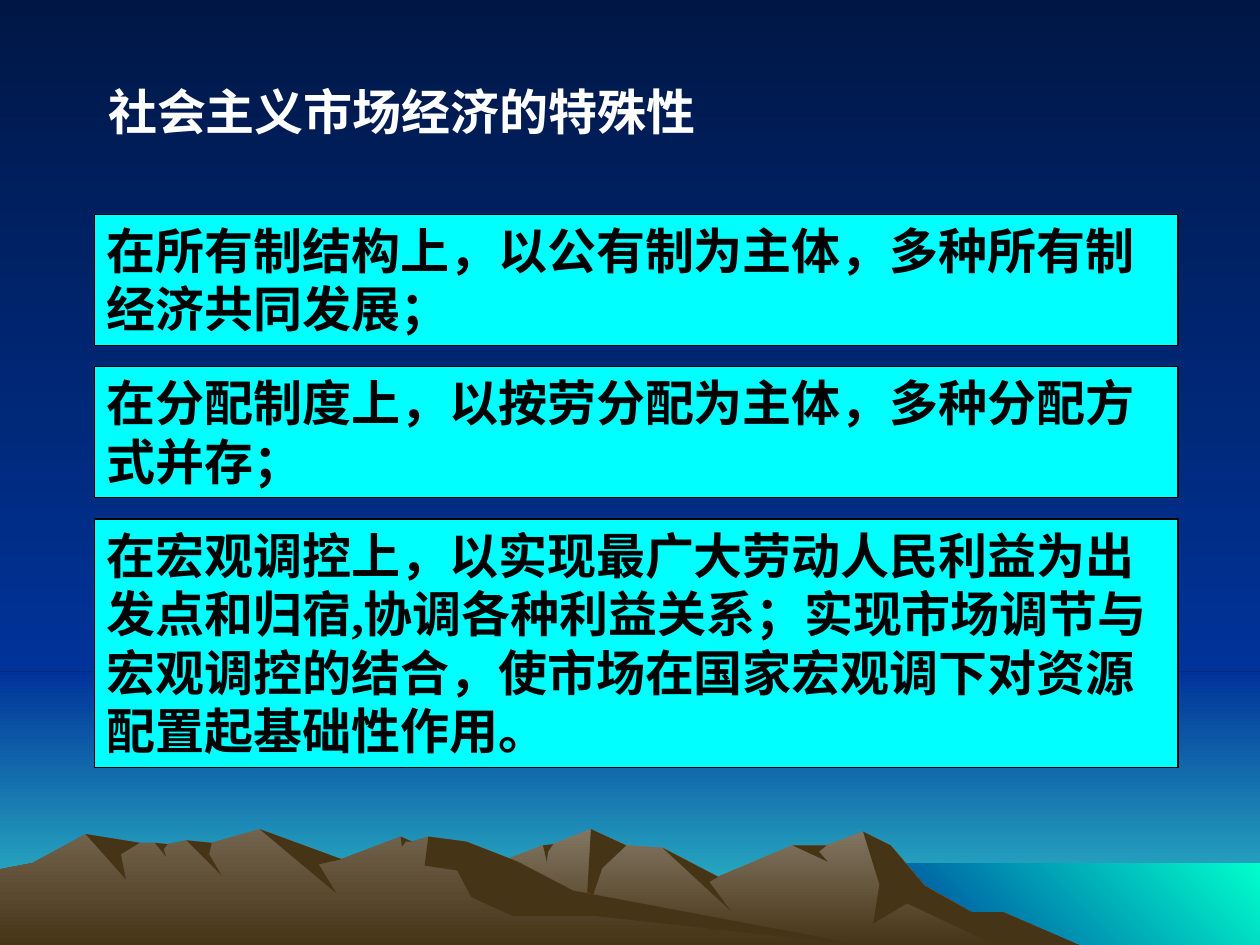
from dataclasses import dataclass

from pptx import Presentation
from pptx.dml.color import RGBColor
from pptx.enum.shapes import MSO_SHAPE
from pptx.enum.text import MSO_ANCHOR, PP_ALIGN
from pptx.oxml.ns import qn
from pptx.util import Inches, Pt

SLIDE_WIDTH, SLIDE_HEIGHT = 10, 7.5
HORIZON, SEA_LEFT, SEA_TOP = 5.33, 6.83, 6.85

NIGHT, BLUE, TEAL, GREEN = "001746", "003399", "33CCCC", "00FFCC"
FAR_ROCK, NEAR_ROCK, SHADED_ROCK = "837763", "72644E", "463416"
CYAN, BLACK, WHITE = "00FFFF", "000000", "FFFFFF"
CJK_FONT, LATIN_FONT = "Noto Sans CJK SC", "Times New Roman"

TITLE = "社会主义市场经济的特殊性"
# Number of lines and wording of each panel
FEATURES = [
    (2, "在所有制结构上，以公有制为主体，多种所有制经济共同发展；"),
    (2, "在分配制度上，以按劳分配为主体，多种分配方式并存；"),
    (4, "在宏观调控上，以实现最广大劳动人民利益为出发点和归宿,"
        "协调各种利益关系；实现市场调节与宏观调控的结合，"
        "使市场在国家宏观调下对资源配置起基础性作用。"),
]
LINE_POINTS = 33.5
PANEL_LEFT, PANEL_WIDTH, FIRST_PANEL_TOP = 0.75, 8.6, 1.7
PANEL_PADDING, PANEL_GAP = 0.11, 0.17


def between(start, end, share):
    """Point that lies the given share of the way from start to end."""
    return tuple(a + (b - a) * share for a, b in zip(start, end))


@dataclass
class Peak:
    """Summit whose right flank, down to the saddle, is shaded to a tip below."""
    crest: tuple
    saddle: tuple
    tip: tuple

    def skyline(self):
        return [self.crest, self.saddle]

    def shadow(self):
        crease = between(between(self.saddle, self.tip, 0.5), self.crest, 0.25)
        return [self.crest, self.saddle, crease, self.tip]


@dataclass
class Spur:
    """Last summit of a range: a long descent to the foot, and a hollow under it."""
    crest: tuple
    descent: list
    hollow: list

    def skyline(self):
        return [self.crest, *self.descent]

    def shadow(self):
        return self.skyline() + self.hollow


@dataclass
class MountainRange:
    """Range drawn from left to right; points are in hundredths of an inch."""
    rock: str
    approach: list
    summits: list

    def outline(self):
        skyline = [point for summit in self.summits for point in summit.skyline()]
        base_left = (self.approach[0][0], skyline[-1][1])
        return [base_left, *self.approach, *skyline]


FAR_RANGE = MountainRange(FAR_ROCK, [(258, 750), (355, 698), (405, 681)], [
    Peak(crest=(431, 671), saddle=(439, 670), tip=(434, 684)),
    Peak(crest=(469, 658), saddle=(497, 671), tip=(465, 727)),
    Peak(crest=(526, 673), saddle=(570, 696), tip=(580, 723)),
    Peak(crest=(629, 671), saddle=(656, 671), tip=(657, 684)),
    Spur(crest=(685, 660),
         descent=[(707, 671), (734, 703), (771, 724), (796, 724), (858, 751)],
         hollow=[(792, 751), (720, 717), (693, 733), (698, 702)]),
])
NEAR_RANGE = MountainRange(NEAR_ROCK, [(0, 690), (26, 685)], [
    Peak(crest=(68, 662), saddle=(111, 669), tip=(100, 698)),
    Peak(crest=(123, 669), saddle=(133, 670), tip=(132, 680)),
    Peak(crest=(148, 667), saddle=(168, 669), tip=(176, 695)),
    Peak(crest=(206, 658), saddle=(271, 682), tip=(267, 709)),
    Peak(crest=(318, 664), saddle=(327, 668), tip=(319, 672)),
    Spur(crest=(340, 664),
         descent=[(370, 668), (411, 684), (455, 707), (690, 751)],
         hollow=[(472, 727), (407, 727), (374, 712), (363, 691), (337, 687)]),
])


def rgb(hex_color):
    return RGBColor.from_string(hex_color)


def fill_gradient(shape, first, last, angle=270):
    """Two-stop gradient; the angle runs counter-clockwise, 270 is downwards."""
    shape.fill.gradient()
    shape.fill.gradient_angle = angle
    for stop, color in zip(shape.fill.gradient_stops, (first, last)):
        stop.color.rgb = rgb(color)


def fill_solid(shape, color):
    shape.fill.solid()
    shape.fill.fore_color.rgb = rgb(color)


def make_plain(shape):
    shape.shadow.inherit = False
    shape.line.fill.background()
    return shape


def add_rectangle(slide, left, top, width, height):
    return make_plain(slide.shapes.add_shape(
        MSO_SHAPE.RECTANGLE, Inches(left), Inches(top), Inches(width), Inches(height)))


def add_outline(slide, points):
    builder = slide.shapes.build_freeform(*points[0], scale=Inches(0.01))
    builder.add_line_segments(points[1:], close=True)
    return make_plain(builder.convert_to_shape())


def add_mountains(slide, mountains):
    fill_gradient(add_outline(slide, mountains.outline()), mountains.rock, SHADED_ROCK)
    for summit in mountains.summits:
        fill_solid(add_outline(slide, summit.shadow()), SHADED_ROCK)


def add_landscape(slide):
    fill_gradient(slide.background, NIGHT, BLUE)
    dusk = add_rectangle(slide, 0, HORIZON, SLIDE_WIDTH, SLIDE_HEIGHT - HORIZON)
    fill_gradient(dusk, BLUE, TEAL)
    sky = add_rectangle(slide, 0, 0, SLIDE_WIDTH, HORIZON)
    fill_gradient(sky, NIGHT, BLUE)
    sea = add_rectangle(slide, SEA_LEFT, SEA_TOP,
                        SLIDE_WIDTH - SEA_LEFT, SLIDE_HEIGHT - SEA_TOP)
    fill_gradient(sea, GREEN, BLUE, angle=225)
    for mountains in (FAR_RANGE, NEAR_RANGE):
        add_mountains(slide, mountains)


def write(shape, text, color, latin_font, wrap=True):
    frame = shape.text_frame
    frame.word_wrap = wrap
    frame.vertical_anchor = MSO_ANCHOR.TOP
    frame.text = text
    paragraph = frame.paragraphs[0]
    paragraph.alignment = PP_ALIGN.LEFT
    paragraph.line_spacing = Pt(LINE_POINTS)
    font = paragraph.runs[0].font
    font.size = Pt(28)
    font.bold = True
    font.name = latin_font
    font.color.rgb = rgb(color)
    font._element.append(font._element.makeelement(qn("a:ea"), {"typeface": CJK_FONT}))


def add_title(slide):
    title = slide.shapes.add_textbox(Inches(0.76), Inches(0.6), Inches(4.86), Inches(0.57))
    write(title, TITLE, WHITE, CJK_FONT, wrap=False)


def add_features(slide):
    """Stack the panels, each as tall as its lines need, with equal gaps."""
    top = FIRST_PANEL_TOP
    for line_count, text in FEATURES:
        height = round(line_count * LINE_POINTS / 72 + PANEL_PADDING, 2)
        panel = add_rectangle(slide, PANEL_LEFT, top, PANEL_WIDTH, height)
        fill_solid(panel, CYAN)
        panel.line.color.rgb = rgb(BLACK)
        panel.line.width = Pt(0.75)
        write(panel, text, BLACK, LATIN_FONT)
        top += height + PANEL_GAP


def main():
    presentation = Presentation()
    presentation.slide_width = Inches(SLIDE_WIDTH)
    presentation.slide_height = Inches(SLIDE_HEIGHT)
    slide = presentation.slides.add_slide(presentation.slide_layouts[6])
    add_landscape(slide)
    add_title(slide)
    add_features(slide)
    presentation.save("out.pptx")


if __name__ == "__main__":
    main()
